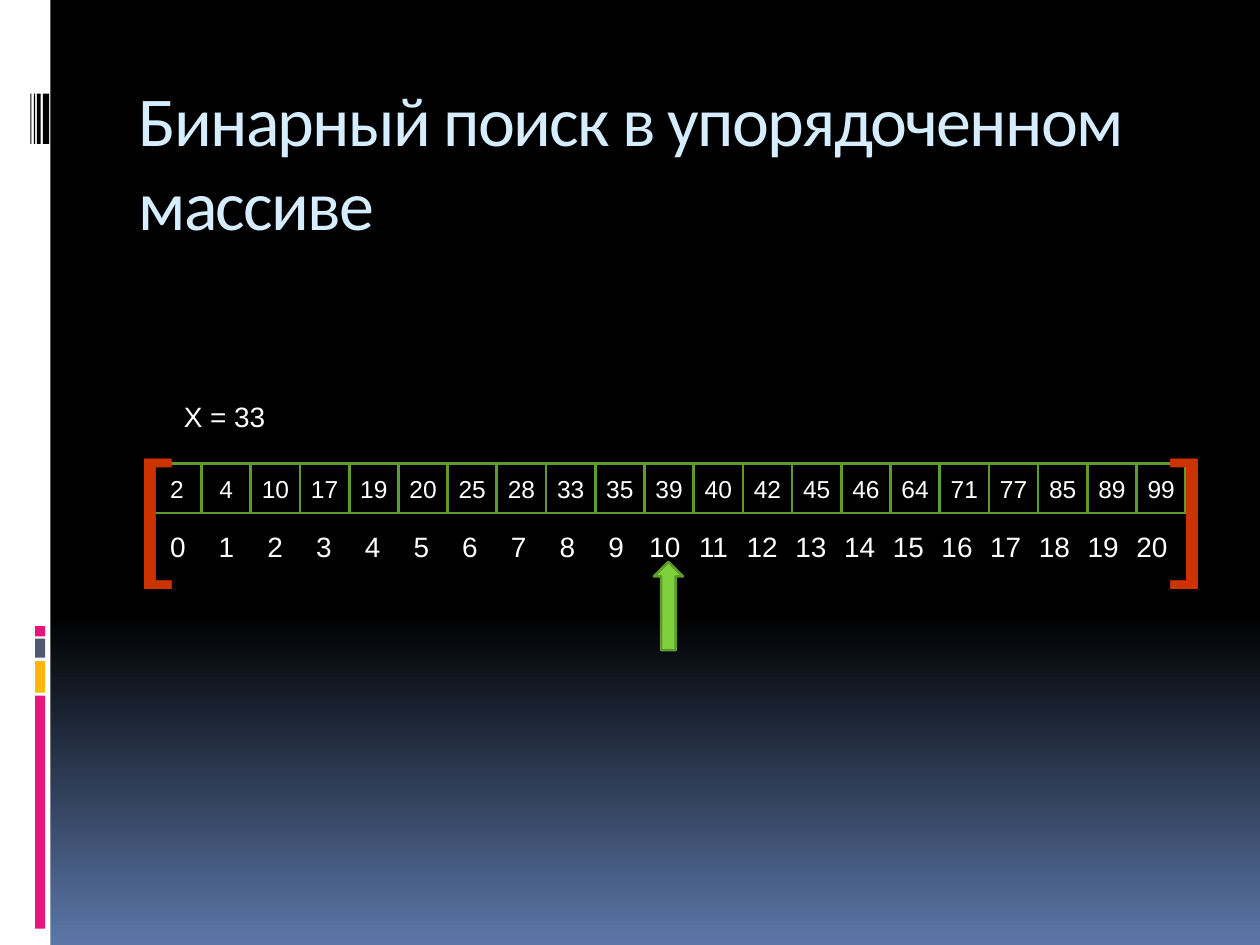
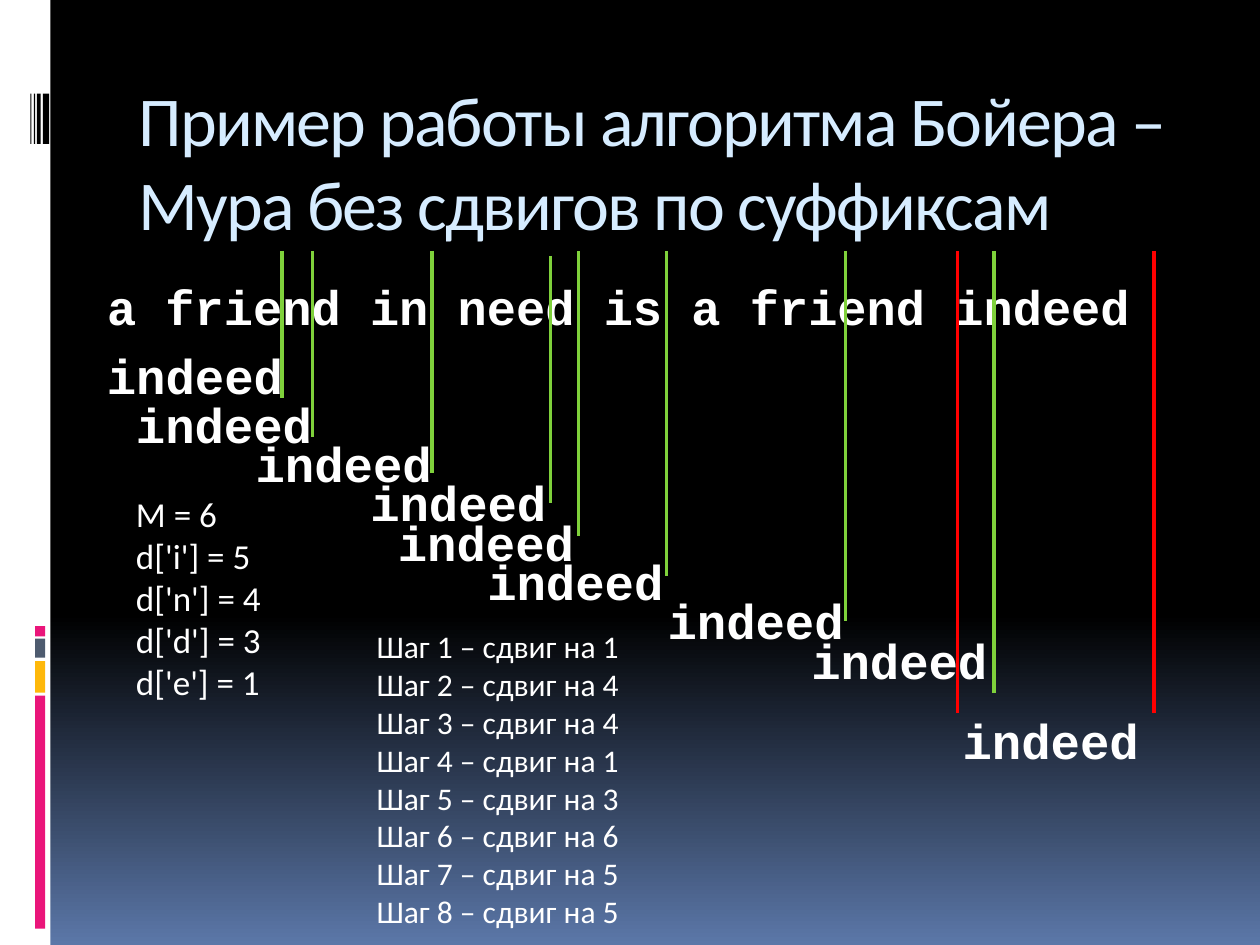
"""Build two slides on binary search and Boyer–Moore matching."""
from dataclasses import dataclass

from lxml import etree
from pptx import Presentation
from pptx import util as u
from pptx.dml.color import RGBColor
from pptx.enum import shapes, text
from pptx.oxml import ns

Pt = u.Pt
COLORS = {
    "black": "000000", "white": "FFFFFF", "blue": "5B77A8", "title": "D6ECFF",
    "pink": "EA157A", "amber": "FEB80A", "slate": "4E5B6F", "green": "7FD13B",
    "dark_green": "5E9B2C", "bracket": "CC3300", "red": "FF0000",
}
VALUES = [2, 4, 10, 17, 19, 20, 25, 28, 33, 35, 39, 40, 42, 45, 46, 64, 71, 77, 85, 89, 99]
SHIFTS = [1, 4, 4, 1, 3, 6, 5, 5]
CELL = 28.12
CELLS_LEFT = 87.1
LINES_TOP = 143.3
CODE_INSET = 9.2


@dataclass(frozen=True)
class Box:
    left: float
    top: float
    width: float
    height: float

    def lengths(self) -> list:
        return [Pt(v) for v in (self.left, self.top, self.width, self.height)]


@dataclass(frozen=True)
class Style:
    size: float
    font: str
    color: str = "white"
    bold: bool = False


@dataclass(frozen=True)
class Band:
    box: Box
    color: str


@dataclass(frozen=True)
class Guide:
    x: float
    bottom: float
    color: str = "green"
    top: float = LINES_TOP


TITLE = Style(40, "Calibri", "title")
CELL_TEXT = Style(14, "Arial")
LABEL = Style(16, "Arial")
BRACKET = Style(80, "Arial", "bracket")
CODE = Style(28, "Courier New", bold=True)
PHRASE = Style(27.8, "Courier New", bold=True)
TABLE_D = Style(20, "Calibri")
STEPS = Style(18, "Calibri")

BANDS = [
    Band(Box(0, 0, 28.8, 540), "white"),
    *[Band(Box(20, top, 5.8, height), color) for top, height, color in (
        (397.5, 133.2, "pink"), (377.8, 18, "amber"), (365, 10.8, "slate"), (357.8, 5.8, "pink"))],
    *[Band(Box(left, 53.5, width, 28.8), "black") for left, width in (
        (24.5, 3.6), (21.1, 2.2), (19.4, 0.7), (17.3, 0.7))],
]
FIRST_TRY = (54, 188)
LAST_TRY = (543, 396.7)
MIDDLE_TRIES = [(x, 216 + 22.5 * i) for i, x in enumerate((70.6, 139, 204.5, 220.3, 271.4, 374.4, 456.5))]
GUIDES = [
    Guide(161.3, 227.5), Guide(178.6, 249.8), Guide(247, 270), Guide(314.6, 287.3, top=146.2),
    Guide(330.5, 306), Guide(380.9, 329), Guide(483.1, 355), Guide(568.1, 396),
    Guide(547.2, 407.5, "red"), Guide(659.5, 407.5, "red"),
]


def rgb(name: str) -> RGBColor:
    return RGBColor.from_string(COLORS[name])


def write(tf, lines: list[str], style: Style, align=text.PP_ALIGN.LEFT) -> None:
    """Fill a text frame with one paragraph per line in the given style."""
    tf.word_wrap = True
    tf.auto_size = text.MSO_AUTO_SIZE.NONE
    tf.text = "\n".join(lines)
    for p in tf.paragraphs:
        p.alignment = align
        p.font.size, p.font.name, p.font.bold = Pt(style.size), style.font, style.bold
        p.font.color.rgb = rgb(style.color)


def add_text(s, box: Box, lines: list[str], style: Style, top_inset: float = 3.6):
    tf = s.shapes.add_textbox(*box.lengths()).text_frame
    write(tf, lines, style)
    tf.margin_top = Pt(top_inset)
    return tf


def add_box(s, box: Box, fill: str | None = None, line: str | None = None,
            kind=shapes.MSO_SHAPE.RECTANGLE):
    sp = s.shapes.add_shape(kind, *box.lengths())
    sp.shadow.inherit = False
    if fill:
        sp.fill.solid()
        sp.fill.fore_color.rgb = rgb(fill)
    else:
        sp.fill.background()
    if line:
        sp.line.color.rgb = rgb(line)
        sp.line.width = Pt(1.5)
    else:
        sp.line.fill.background()
    return sp


def add_guide(s, guide: Guide) -> None:
    cx = s.shapes.add_connector(shapes.MSO_CONNECTOR.STRAIGHT, Pt(guide.x), Pt(guide.top),
                                Pt(guide.x), Pt(guide.bottom))
    cx.line.color.rgb = rgb(guide.color)
    cx.line.width = Pt(2)
    etree.SubElement(cx._element.spPr, ns.qn("a:effectLst"))


def place(ph, box: Box, line: str, style: Style, top_inset: float = 3.6):
    """Move a placeholder and write one left-aligned line from its top."""
    ph.left, ph.top, ph.width, ph.height = box.lengths()
    tf = ph.text_frame
    write(tf, [line], style)
    tf.vertical_anchor = text.MSO_ANCHOR.TOP
    tf.margin_top = Pt(top_inset)
    return tf.paragraphs[0]


def paint_background(master) -> None:
    fill = master.background.fill
    fill.gradient()
    fill.gradient_angle = 270
    for stop, position, color in zip(fill.gradient_stops, (0.65, 1), ("black", "blue")):
        stop.position = position
        stop.color.rgb = rgb(color)


def new_slide(prs, layout: int, title: str):
    s = prs.slides.add_slide(prs.slide_layouts[layout])
    for band in BANDS:
        add_box(s, band.box, band.color)
    p = place(s.shapes.title, Box(72, 40.3, 612, 72), title, TITLE)
    p.runs[0]._r.get_or_add_rPr().set("spc", "-100")
    return s


def add_indices(s) -> None:
    """Write the cell indices on evenly spaced centred tab stops."""
    line = "".join(f"\t{i}" for i in range(len(VALUES)))
    p = add_text(s, Box(81.4, 298.8, 607.7, 26.6), [line], LABEL).paragraphs[0]
    tabs = etree.Element(ns.qn("a:tabLst"))
    for i in range(len(VALUES)):
        etree.SubElement(tabs, ns.qn("a:tab"), pos=str(Pt(13.1 + 27.83 * i)), algn="ctr")
    p._p.pPr.find(ns.qn("a:defRPr")).addprevious(tabs)


def binary_search(prs) -> None:
    s = new_slide(prs, 5, "Бинарный поиск в упорядоченном массиве")
    for i, value in enumerate(VALUES):
        sp = add_box(s, Box(CELLS_LEFT + CELL * i, 265, CELL, 28.1), line="dark_green")
        tf = sp.text_frame
        write(tf, [str(value)], CELL_TEXT, text.PP_ALIGN.CENTER)
        tf.margin_left = tf.margin_right = Pt(2.9)
        tf.vertical_anchor = text.MSO_ANCHOR.MIDDLE
    add_text(s, Box(98, 224.6, 112.3, 26.6), ["X = 33"], LABEL)
    for left, mark in ((69.8, "["), (661, "]")):
        add_text(s, Box(left, 236.9, 28.1, 104.4), [mark], BRACKET)
    add_indices(s)
    add_box(s, Box(373.7, 321.1, 16.6, 50.4), "green", "dark_green", shapes.MSO_SHAPE.UP_ARROW)


def boyer_moore(prs) -> None:
    s = new_slide(prs, 1, "Пример работы алгоритма Бойера – Мура без сдвигов по суффиксам")
    p = place(s.placeholders[1], Box(54, 149, 652.3, 38.2),
              "а friend in need is a friend indeed", PHRASE, CODE_INSET)
    p.space_before = Pt(0)
    pPr = p._p.get_or_add_pPr()
    pPr.set("marL", "0")
    pPr.set("indent", "0")
    pPr.find(ns.qn("a:defRPr")).addprevious(etree.Element(ns.qn("a:buNone")))
    for left, top in (FIRST_TRY, *MIDDLE_TRIES, LAST_TRY):
        add_text(s, Box(left, top, 123.8, 41), ["indeed"], CODE, CODE_INSET)
    shift_table = [f"d['{c}'] = {n}" for c, n in zip("inde", (5, 4, 3, 1))]
    add_text(s, Box(70.6, 277.9, 101.5, 128.2), ["М = 6", *shift_table], TABLE_D)
    steps = [f"Шаг {i} – сдвиг на {n}" for i, n in enumerate(SHIFTS, 1)]
    add_text(s, Box(208.1, 355, 163.4, 181.4), steps, STEPS)
    for guide in GUIDES:
        add_guide(s, guide)


def main() -> None:
    prs = Presentation()
    prs.slide_width, prs.slide_height = Pt(720), Pt(540)
    paint_background(prs.slide_master)
    binary_search(prs)
    boyer_moore(prs)
    prs.save("out.pptx")


if __name__ == "__main__":
    main()
